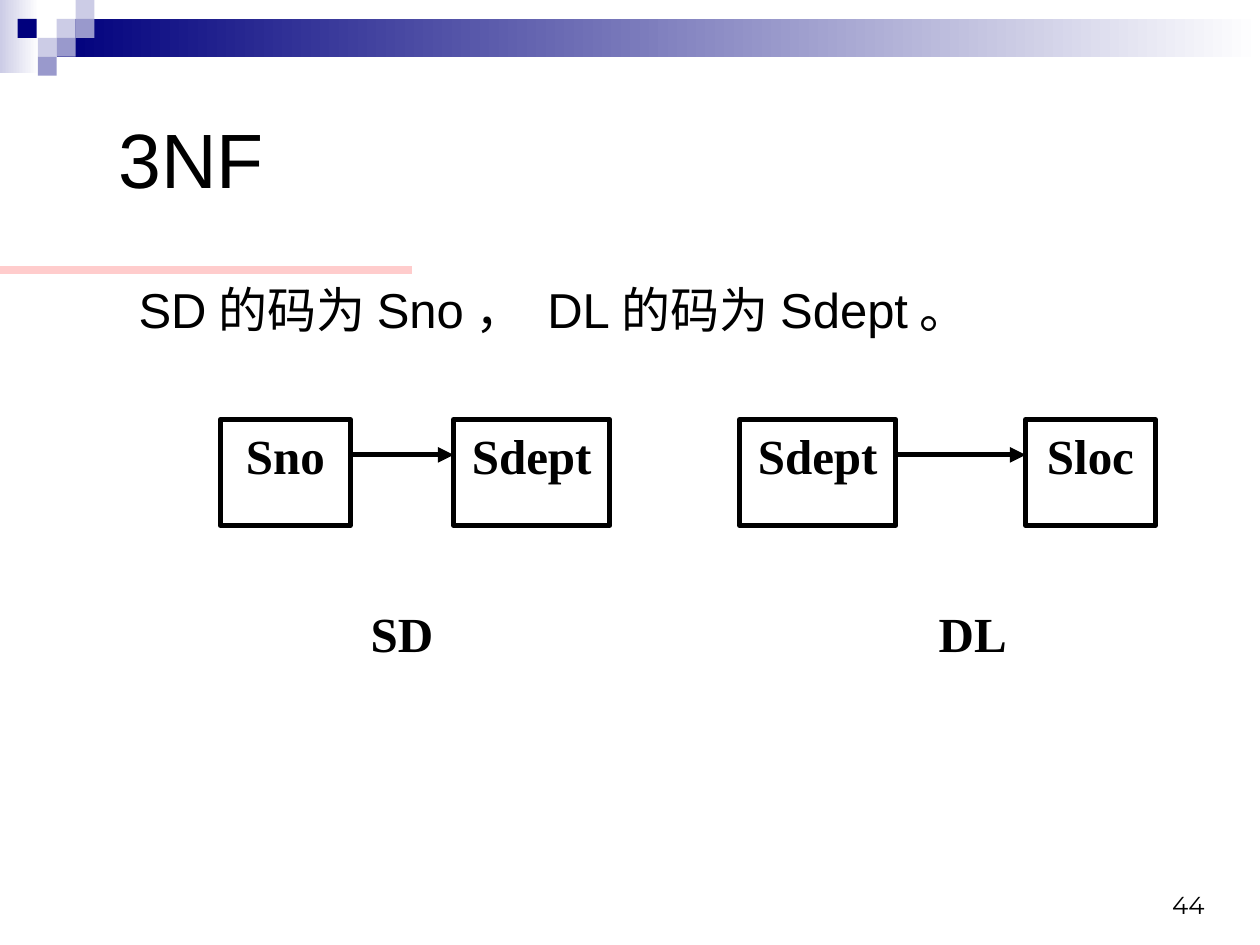
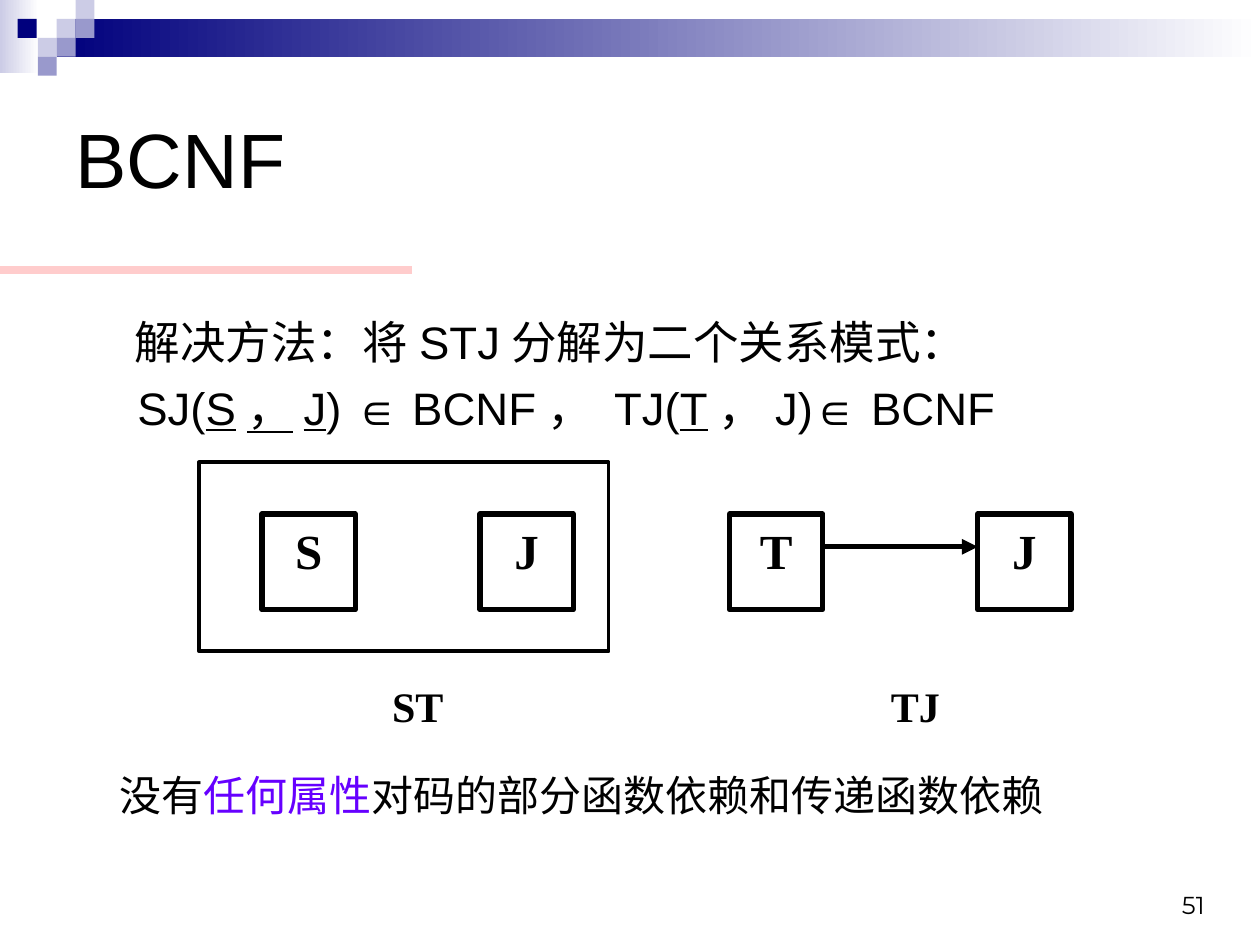
from lxml.etree import SubElement
from pptx import Presentation
from pptx.dml.color import RGBColor
from pptx.enum.shapes import MSO_CONNECTOR, MSO_SHAPE
from pptx.enum.text import MSO_ANCHOR, MSO_AUTO_SIZE, PP_ALIGN
from pptx.oxml.ns import qn
from pptx.util import Inches, Pt

BLACK, NAVY, LILAC, MAUVE = "000000", "00007D", "CCCCE6", "9999CC"
WHITE, PINK, PURPLE = "FFFFFF", "FFCCCC", "6600FF"
HEAD = {"name": "Arial", "size": Pt(44)}
BODY = {"name": "Arial"}
NODE = {"name": "Times New Roman", "bold": True}
FOOT = {"name": "Montserrat", "size": Pt(14)}


def paint(fill, *tints):
    if len(tints) == 1:
        fill.solid()
        fill.fore_color.rgb = RGBColor.from_string(tints[0])
        return
    fill.gradient()
    fill.gradient_angle = 0
    for stop, tint in zip(fill.gradient_stops, tints):
        stop.color.rgb = RGBColor.from_string(tint)


def write(para, runs, style, align=PP_ALIGN.LEFT, indent=0, before=0):
    props = para._p.get_or_add_pPr()
    props.set("marL", str(Inches(indent)))
    props.set("indent", "0")
    SubElement(props, qn("a:buNone"))
    para.alignment = align
    para.space_before = Pt(before)
    for text, extra in runs:
        run = para.add_run()
        run.text = text
        look = {"tint": BLACK, **style, **extra}
        paint(run.font.fill, look.pop("tint"))
        for key, value in look.items():
            setattr(run.font, key, value)


deck = Presentation()
deck.slide_width, deck.slide_height = Inches(10), Inches(7.5)
layout = deck.slide_layouts[1]

line = {"underline": True}
pages = [
    {
        "title": "3NF", "shift": 0.34, "number": "44",
        "area": (0.5, 2.17, 9, 4.25),
        "body": [([("SD的码为Sno， DL的码为Sdept。", {})], 28, 0.5, 0, 1)],
        "row": (3.33, 0.84),
        "nodes": [("Sno", 1.75, 1.03), ("Sdept", 3.6, 1.24),
                  ("Sdept", 5.87, 1.24), ("Sloc", 8.14, 1.03)],
        "names": [("SD", 2.78), ("DL", 7.31)],
        "label": (4.74, 0.82, 28),
    },
    {
        "title": "BCNF", "shift": 0, "number": "51",
        "area": (0.59, 2.44, 8.5, 4.5),
        "body": [
            ([("解决方法：将STJ分解为二个关系模式：", {})], 26, 0.38, 0, 1),
            ([("SJ(", {}), ("S，J", line), (") ∈ BCNF， TJ(", {}),
              ("T", line), ("，J)∈ BCNF", {})], 26, 0.4, 6.5, 1),
            ([("没有", {}), ("任何属性", {"tint": PURPLE}),
              ("对码的部分函数依赖和传递函数依赖", {})], 24, 0.26, 186, 1.2),
        ],
        "row": (4.08, 0.76),
        "nodes": [("S", 2.08, 0.74), ("J", 3.81, 0.74),
                  ("T", 5.79, 0.74), ("J", 7.76, 0.74)],
        "names": [("ST", 2.82), ("TJ", 6.77)],
        "label": (5.35, 0.99, 24),
    },
]

slides = []
for page in pages:
    slide = deck.slides.add_slide(layout)
    slides.append(slide)
    shapes = slide.shapes
    title, body = shapes.title, slide.placeholders[1]
    for holder, area in ((title, (0.5, 0.5, 9, 1.5)), (body, page["area"])):
        places = zip(("left", "top", "width", "height"), area)
        for key, value in places:
            setattr(holder, key, Inches(value))
        holder.text_frame.auto_size = MSO_AUTO_SIZE.NONE
    title.text_frame.vertical_anchor = MSO_ANCHOR.MIDDLE
    write(title.text_frame.paragraphs[0], [(page["title"], {})], HEAD,
          indent=page["shift"])

    frame = body.text_frame
    for i, (runs, size, indent, before, pitch) in enumerate(page["body"]):
        para = frame.add_paragraph() if i else frame.paragraphs[0]
        write(para, runs, {**BODY, "size": Pt(size)},
              indent=indent, before=before)
        para.line_spacing = pitch

    foot = shapes.add_textbox(Inches(7.16), Inches(6.83), Inches(2.5), Inches(0.52))
    foot.text_frame.word_wrap = True
    foot.text_frame.vertical_anchor = MSO_ANCHOR.BOTTOM
    write(foot.text_frame.paragraphs[0], [(page["number"], {})], FOOT,
          PP_ALIGN.RIGHT)

    top, height = page["row"]
    for text, left, width in page["nodes"]:
        node = shapes.add_shape(MSO_SHAPE.RECTANGLE, Inches(left), Inches(top),
                                Inches(width), Inches(height))
        node.shadow.inherit = False
        node.fill.background()
        paint(node.line.fill, BLACK)
        node.line.width = Pt(3)
        node.text_frame.vertical_anchor = MSO_ANCHOR.TOP
        write(node.text_frame.paragraphs[0], [(text, {})],
              {**NODE, "size": Pt(28)}, PP_ALIGN.CENTER)

    top, width, size = page["label"]
    for text, left in page["names"]:
        label = shapes.add_textbox(Inches(left), Inches(top),
                                   Inches(width), Inches(height))
        label.text_frame.word_wrap = True
        write(label.text_frame.paragraphs[0], [(text, {})],
              {**NODE, "size": Pt(size)}, PP_ALIGN.CENTER)

first, last = slides
border = last.shapes.add_shape(MSO_SHAPE.RECTANGLE, Inches(1.58), Inches(3.67),
                               Inches(3.25), Inches(1.5))
border.shadow.inherit = False
border.fill.background()
paint(border.line.fill, BLACK)
border.line.width = Pt(2.25)

tile = 0.15
bands = [
    (0, 0, 0.31, 0.58, LILAC, WHITE),
    (0.45, tile, 9.55, 0.3, NAVY, WHITE),
]
tiles = [(0.45, 1, LILAC), (0.6, 0, LILAC), (0.6, 1, MAUVE), (0.3, 2, LILAC),
         (0.14, 1, NAVY), (0.45, 2, MAUVE), (0.3, 3, MAUVE)]
bands += [(left, row * tile, tile, tile, tint) for left, row, tint in tiles]
for left, top, width, height, *tints in bands:
    band = first.shapes.add_shape(MSO_SHAPE.RECTANGLE, Inches(left), Inches(top),
                                  Inches(width), Inches(height))
    band.shadow.inherit = False
    paint(band.fill, *tints)
    band.line.fill.background()
    layout.shapes.element.append(band.element)

lines = [
    (first, 0, 3.27, 2.14, PINK, 4.5),
    (first, 2.78, 3.6, 3.61, BLACK, 3),
    (first, 7.11, 8.14, 3.61, BLACK, 3),
    (last, 6.53, 7.76, 4.34, BLACK, 3),
]
for slide, start, end, level, tint, weight in lines:
    link = slide.shapes.add_connector(MSO_CONNECTOR.STRAIGHT, Inches(start),
                                      Inches(level), Inches(end), Inches(level))
    paint(link.line.fill, tint)
    link.line.width = Pt(weight)
    SubElement(link.element.spPr, qn("a:effectLst"))
    if tint == PINK:
        layout.shapes.element.append(link.element)
    else:
        SubElement(link.line._get_or_add_ln(), qn("a:tailEnd"), type="triangle")

deck.save("out.pptx")
